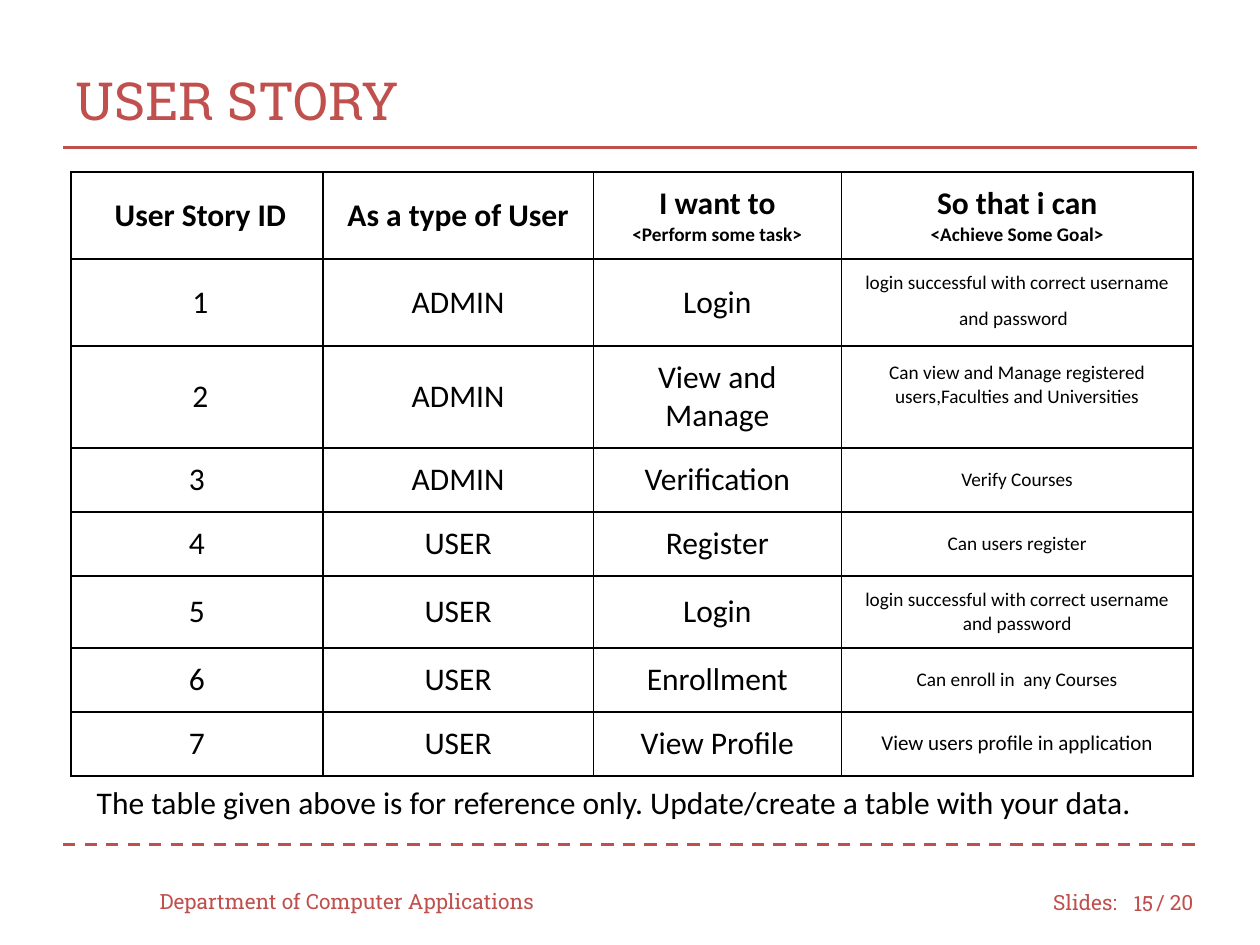
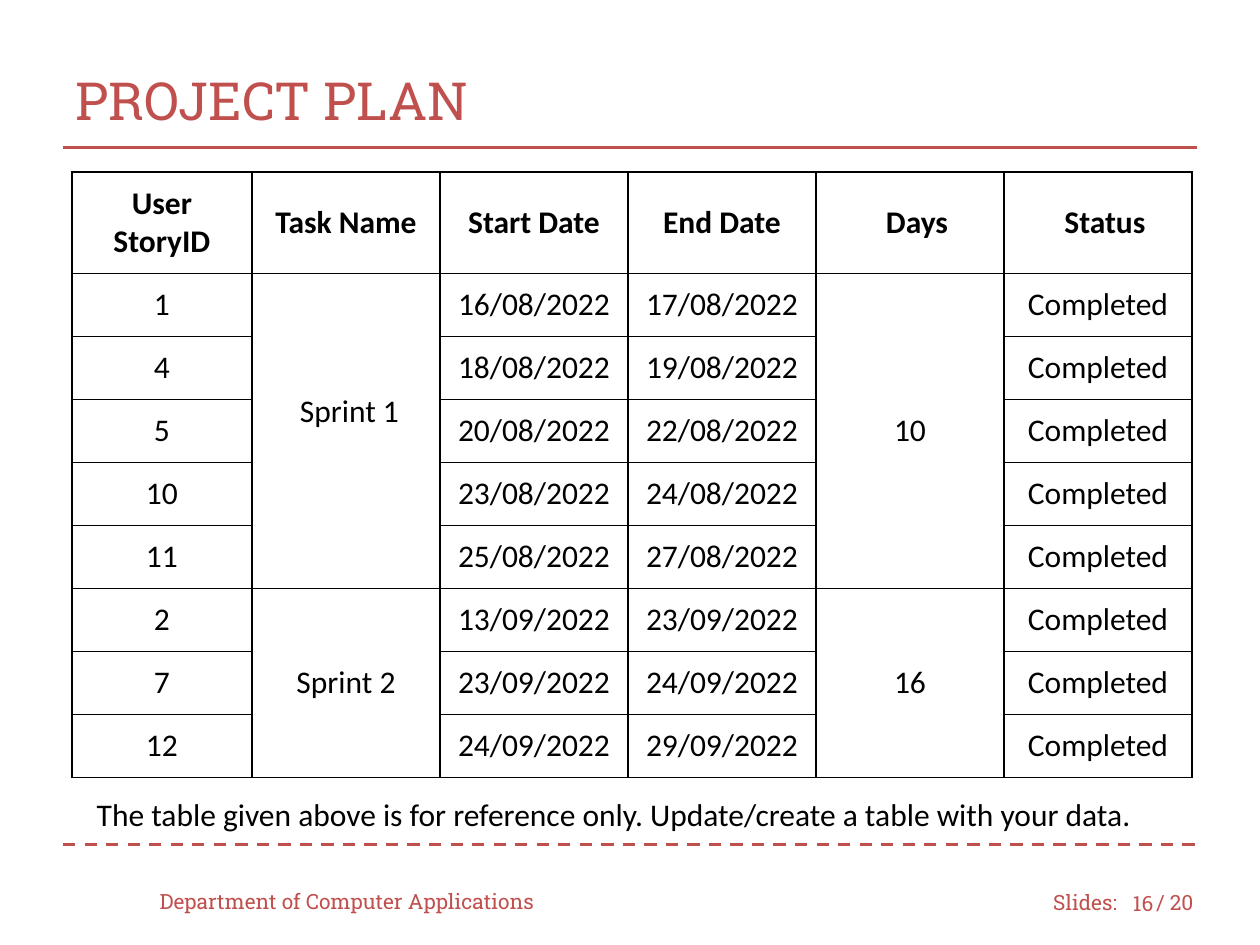
from dataclasses import dataclass

from lxml import etree
from pptx import Presentation
from pptx.dml.color import RGBColor
from pptx.enum.dml import MSO_LINE
from pptx.enum.shapes import MSO_CONNECTOR
from pptx.enum.text import MSO_ANCHOR, PP_ALIGN
from pptx.oxml.ns import qn
from pptx.util import Cm, Pt

LEFT, CENTER, RIGHT = PP_ALIGN.LEFT, PP_ALIGN.CENTER, PP_ALIGN.RIGHT
TOP, MIDDLE = MSO_ANCHOR.TOP, MSO_ANCHOR.MIDDLE
STRAIGHT, DASH = MSO_CONNECTOR.STRAIGHT, MSO_LINE.DASH

ACCENT, BLACK, WHITE = "C0504D", "000000", "FFFFFF"
SLAB, BODY = "Roboto Slab", "Calibri"
CELL_MARGIN = 0.25
SPACE = 0.14
REFERENCE_NOTE = "The table given above is for reference only. Update/create a table with your data."


@dataclass
class Entry:
    text: str
    sizes: tuple = (18,)
    indent: float = 0
    lift: float = 0
    tail: int = 0


def color(value):
    return RGBColor.from_string(value)


def goal(text, size=11, **options):
    return Entry(text, (size,), **options)


class PageBuilder:
    def __init__(self, deck):
        self.deck = deck
        self.page = None

    def start_page(self, title, number):
        self.page = self.deck.slides.add_slide(self.deck.slide_layouts[6])
        self.text("Slides:", 20.98, 17.68, 1.9, 1.02)
        self.text("/ 20", 23.06, 17.68, 1.47, 1.02)
        self.rule(17.02, DASH)
        self.rule(2.97)
        self.text(title, 1.27, 0.84, 22.86, 2.34, size=30)
        self.text("Department of Computer Applications", 2.97, 17.65, 8.46, 1.02)
        self.text(str(number), 22.43, 17.7, 1.07, 1.02, align=RIGHT)

    def style(self, para, size, font, ink, align, bold=False):
        para.alignment = align
        para.font.size = Pt(size)
        para.font.name = font
        para.font.bold = bold
        para.font.color.rgb = color(ink)

    def text(self, words, left, top, width, height, size=12, font=SLAB,
             ink=ACCENT, align=LEFT, anchor=MIDDLE):
        box = self.page.shapes.add_textbox(Cm(left), Cm(top), Cm(width), Cm(height))
        frame = box.text_frame
        frame.word_wrap = True
        frame.vertical_anchor = anchor
        para = frame.paragraphs[0]
        para.text = words
        self.style(para, size, font, ink, align)

    def note(self, top):
        self.text(REFERENCE_NOTE, 1.7, top, 21.8, 1.02, 18, BODY, BLACK, anchor=TOP)

    def rule(self, y, dash=None):
        line = self.page.shapes.add_connector(STRAIGHT, Cm(1.27), Cm(y), Cm(24.13), Cm(y))
        line.line.color.rgb = color(ACCENT)
        line.line.width = Pt(1.75)
        if dash:
            line.line.dash_style = dash
        etree.SubElement(line._element.spPr, qn("a:effectLst"))

    def borders(self, cell):
        properties = cell._tc.get_or_add_tcPr()
        for index, side in enumerate(("lnL", "lnR", "lnT", "lnB")):
            edge = etree.Element(qn(f"a:{side}"), w=str(Pt(1)))
            fill = etree.SubElement(edge, qn("a:solidFill"))
            etree.SubElement(fill, qn("a:srgbClr"), val=BLACK)
            properties.insert(index, edge)

    def fill_cell(self, cell, entry, bold):
        cell.vertical_anchor = MIDDLE
        cell.margin_left = Cm(CELL_MARGIN + entry.indent)
        cell.margin_bottom = Cm(CELL_MARGIN + entry.lift)
        cell.margin_right = cell.margin_top = Cm(CELL_MARGIN)
        cell.text = entry.text
        for para, size in zip(cell.text_frame.paragraphs, entry.sizes):
            self.style(para, size, BODY, BLACK, CENTER, bold)
        if entry.tail:
            span = para.add_run()
            span.text = " "
            span.font.size = Pt(entry.tail)

    def table(self, left, top, widths, heights, rows, merges=()):
        frame = self.page.shapes.add_table(
            len(rows), len(widths), Cm(left), Cm(top), Cm(sum(widths)), Cm(sum(heights)))
        table = frame.table
        table.first_row = table.horz_banding = False
        for column, width in zip(table.columns, widths):
            column.width = Cm(width)
        for row, height in zip(table.rows, heights):
            row.height = Cm(height)
        for row_index, row in enumerate(rows):
            for column_index, entry in enumerate(row):
                cell = table.cell(row_index, column_index)
                cell.fill.solid()
                cell.fill.fore_color.rgb = color(WHITE)
                self.borders(cell)
                if entry is not None:
                    if isinstance(entry, str):
                        entry = Entry(entry)
                    self.fill_cell(cell, entry, row_index == 0)
        for column, first, last in merges:
            table.cell(first, column).merge(table.cell(last, column))


def user_story(builder):
    builder.start_page("USER STORY", 15)
    login_goal = "login successful with correct username and password"
    rows = [
        [Entry("User Story ID", indent=SPACE), "As a type of User",
         Entry("I want to\n<Perform some task>", (18, 11)),
         Entry("So that i can\n<Achieve Some Goal>", (18, 11))],
        [Entry("1", indent=SPACE), "ADMIN", "Login", goal(login_goal, tail=18)],
        [Entry("2", indent=SPACE), "ADMIN", "View and Manage",
         goal("Can view and Manage registered users,Faculties and Universities", lift=0.48)],
        ["3", "ADMIN", "Verification", goal("Verify Courses")],
        ["4", "USER", "Register", goal("Can users register")],
        ["5", "USER", "Login", goal(login_goal)],
        ["6", "USER", "Enrollment", goal("Can enroll in  any Courses")],
        ["7", "USER", "View Profile", goal("View users profile in application", 12)],
    ]
    builder.table(1.43, 3.47, [5.08, 5.45, 5, 7.09],
                  [1.75, 1.75, 2.06, 1.29, 1.29, 1.45, 1.29, 1.29], rows)
    builder.note(15.67)


def project_plan(builder):
    builder.start_page("PROJECT PLAN", 16)
    builder.note(15.9)
    rows = [[Entry("User\nStoryID", (18, 18)), "Task Name", "Start Date", "End Date",
             Entry("Days", indent=2 * SPACE), Entry("Status", indent=2 * SPACE)]]
    sprints = [
        (Entry("Sprint 1", indent=SPACE, lift=0.77), "10", [
            ("1", "16/08/2022", "17/08/2022"),
            ("4", "18/08/2022", "19/08/2022"),
            ("5", "20/08/2022", "22/08/2022"),
            ("10", "23/08/2022", "24/08/2022"),
            ("11", "25/08/2022", "27/08/2022")]),
        (Entry("Sprint 2"), "16", [
            ("2", "13/09/2022", "23/09/2022"),
            ("7", "23/09/2022", "24/09/2022"),
            ("12", "24/09/2022", "29/09/2022")]),
    ]
    merges = []
    for sprint, days, stories in sprints:
        first = len(rows)
        for index, (story, start, end) in enumerate(stories):
            task, length = (None, None) if index else (sprint, days)
            rows.append([story, task, start, end, length, "Completed"])
        merges += [(column, first, len(rows) - 1) for column in (1, 4)]
    builder.table(1.45, 3.47, [3.63] + [3.79] * 5,
                  [2.04] + [1.27] * (len(rows) - 1), rows, merges)


def main():
    deck = Presentation()
    deck.slide_width, deck.slide_height = Cm(25.4), Cm(19.05)
    builder = PageBuilder(deck)
    user_story(builder)
    project_plan(builder)
    deck.save("out.pptx")


if __name__ == "__main__":
    main()
